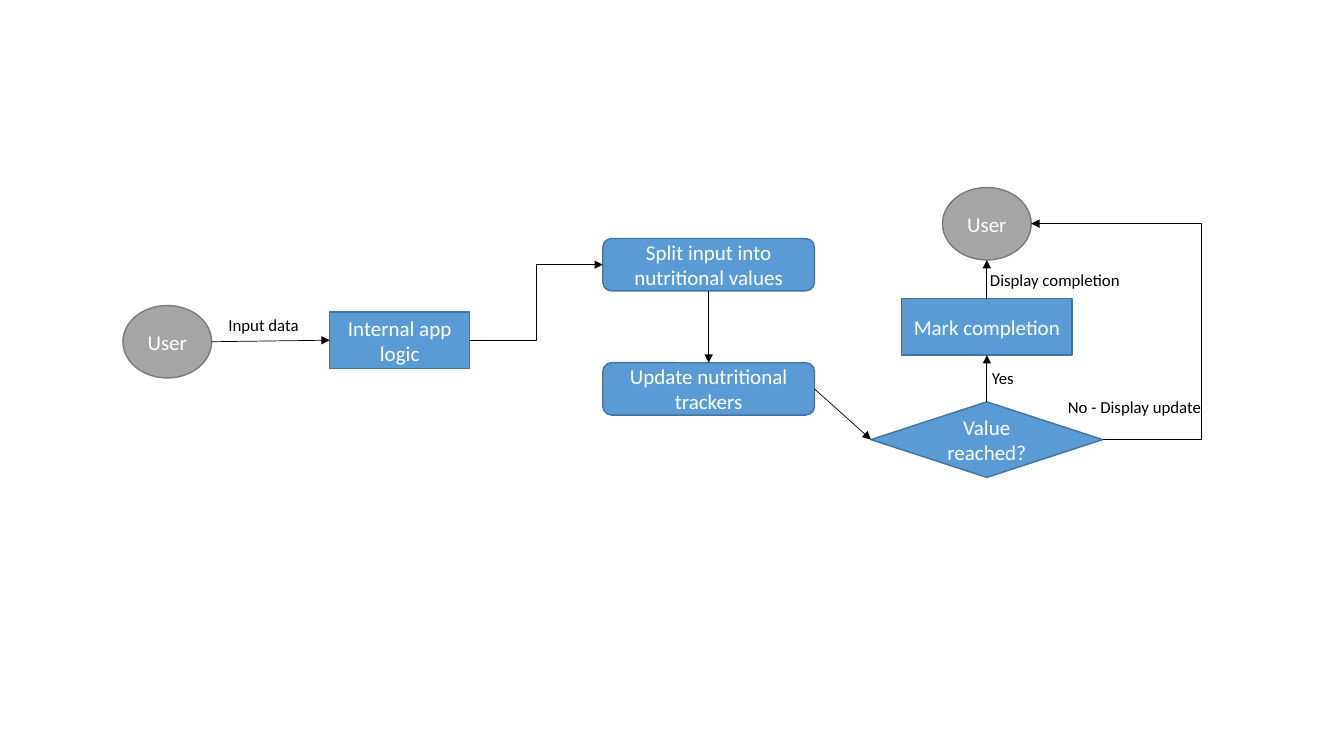
from dataclasses import dataclass
from typing import Any, Optional

from lxml.etree import SubElement as SubEl
from pptx import Presentation
from pptx.dml.color import RGBColor as Rgb
from pptx.enum.shapes import MSO_CONNECTOR as Route, MSO_SHAPE as Form
from pptx.enum.text import MSO_ANCHOR as Anchor, PP_ALIGN as Align
from pptx.oxml.ns import qn
from pptx.shapes.shapetree import SlideShapes as Shapes
from pptx.util import Pt


@dataclass(frozen=True)
class Theme:
    font: str = "Calibri"
    white: str = "FFFFFF"
    black: str = "000000"
    blue: str = "5B9BD5"
    navy: str = "43739E"
    gray: str = "A5A5A5"
    slate: str = "7A7A7A"
    body: float = 15
    small: float = 12
    edge: float = 1
    thin: float = 0.5


THEME = Theme()


@dataclass(frozen=True)
class Node:
    """A flow step, placed by its centre, in points."""
    text: str
    form: Form
    x: float
    y: float
    w: float
    h: float
    fill: str = THEME.blue
    line: str = THEME.navy

    def side(self, name: str) -> tuple[float, float]:
        dx, dy = {"left": (-1, 0), "right": (1, 0),
                  "top": (0, -1), "bottom": (0, 1)}[name]
        return self.x + dx * self.w / 2, self.y + dy * self.h / 2


@dataclass(frozen=True)
class Link:
    """An arrow between two sides; bend is the x of its upright part."""
    start: Node
    out: str
    end: Node
    into: str
    bend: Optional[float] = None


@dataclass(frozen=True)
class Label:
    text: str
    x: float
    y: float
    w: float
    h: float = 21.6


def apply(item: Any, values: dict[str, Any]) -> None:
    for name, value in values.items():
        setattr(item, name, value)


def write(shape: Any, text: str, size: float, color: str,
          frame: dict[str, Any]) -> None:
    apply(shape.text_frame, frame)
    para = shape.text_frame.paragraphs[0]
    para.alignment = Align.CENTER
    run = para.add_run()
    run.text = text
    apply(run.font, {"name": THEME.font, "size": Pt(size)})
    run.font.color.rgb = Rgb.from_string(color)


def frame_of(item: Node | Label) -> list[Pt]:
    return [Pt(v) for v in (item.x - item.w / 2, item.y - item.h / 2,
                            item.w, item.h)]


def draw_node(shapes: Shapes, node: Node) -> None:
    shape = shapes.add_shape(node.form, *frame_of(node))
    shape.shadow.inherit = False
    shape.fill.solid()
    shape.fill.fore_color.rgb = Rgb.from_string(node.fill)
    shape.line.color.rgb = Rgb.from_string(node.line)
    shape.line.width = Pt(THEME.edge)
    write(shape, node.text, THEME.body, THEME.white,
          {"word_wrap": True, "vertical_anchor": Anchor.MIDDLE})


def draw_label(shapes: Shapes, label: Label) -> None:
    box = shapes.add_textbox(*frame_of(label))
    write(box, label.text, THEME.small, THEME.black,
          {"word_wrap": False, "vertical_anchor": Anchor.TOP})


def draw_link(shapes: Shapes, link: Link) -> None:
    start, end = link.start.side(link.out), link.end.side(link.into)
    route = Route.STRAIGHT if link.bend is None else Route.ELBOW
    wire = shapes.add_connector(route, *(Pt(v) for v in start + end))
    wire.line.color.rgb = Rgb.from_string(THEME.black)
    wire.line.width = Pt(THEME.thin)
    props = wire.element.spPr
    SubEl(props.find(qn("a:ln")), qn("a:tailEnd"), type="triangle")
    SubEl(props, qn("a:effectLst"))
    if link.bend is not None:
        ratio = (link.bend - start[0]) / (end[0] - start[0])
        geom = props.find(qn("a:prstGeom"))
        guides = geom.find(qn("a:avLst"))
        if guides is None:
            guides = SubEl(geom, qn("a:avLst"))
        SubEl(guides, qn("a:gd"), name="adj1",
              fmla=f"val {round(ratio * 100000)}")


# Columns shared by stacked steps
MID, LAST = 506.2, 704.9
USER = ("User", Form.OVAL)
DISC = (63.4, 51.8, THEME.gray, THEME.slate)
STEP = (151.2, 37.4)

# Flow steps
user = Node(*USER, 119.5, 244.1, *DISC)
logic = Node("Internal app logic", Form.RECTANGLE, 285.5, 243, 100, 40.4)
split = Node("Split input into nutritional values",
             Form.ROUNDED_RECTANGLE, MID, 189.1, *STEP)
update = Node("Update nutritional trackers",
              Form.ROUNDED_RECTANGLE, MID, 277.8, *STEP)
check = Node("Value reached?", Form.DIAMOND, LAST, 314, 165.6, 54)
mark = Node("Mark completion", Form.RECTANGLE, LAST, 233.5, 121.7, 40.4)
viewer = Node(*USER, LAST, 159.8, *DISC)
NODES = [user, logic, split, update, check, mark, viewer]

# Arrows
LINKS = [
    Link(user, "right", logic, "left"),
    Link(logic, "right", split, "left", bend=383),
    Link(split, "bottom", update, "top"),
    Link(update, "right", check, "left"),
    Link(check, "top", mark, "bottom"),
    Link(mark, "top", viewer, "bottom"),
    Link(check, "right", viewer, "right", bend=858.2),
]

# Arrow captions
LABELS = [
    Label("Input data", 188.3, 231.8, 67),
    Label("Yes", 716.4, 270, 43.2),
    Label("Display completion", 753.5, 199.6, 107.3),
    Label("No - Display update", 810.4, 291, 127.4),
]

# Slide
deck = Presentation()
apply(deck, {"slide_width": Pt(960), "slide_height": Pt(540)})
shapes = deck.slides.add_slide(deck.slide_layouts[6]).shapes
for node in NODES:
    draw_node(shapes, node)
for link in LINKS:
    draw_link(shapes, link)
for label in LABELS:
    draw_label(shapes, label)
deck.save("out.pptx")
